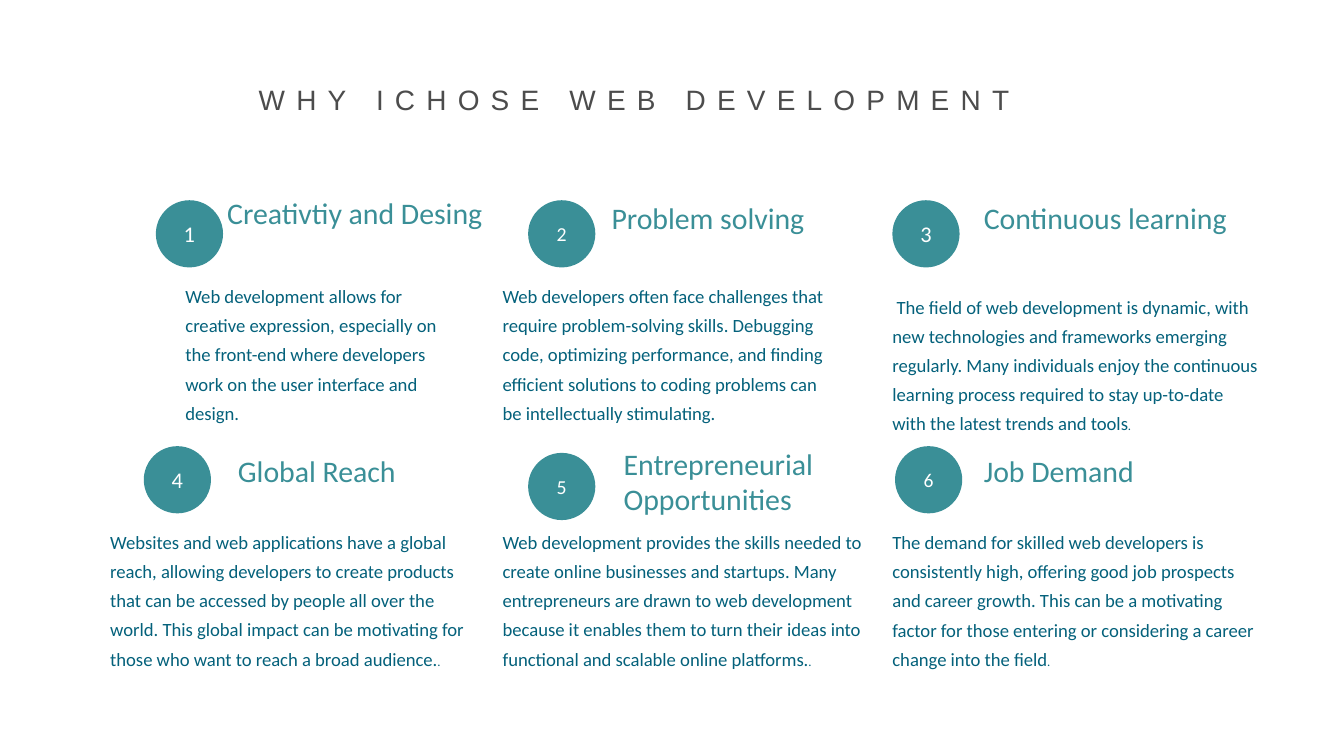
from dataclasses import dataclass

from pptx import Presentation
from pptx.dml.color import RGBColor
from pptx.enum.shapes import MSO_SHAPE
from pptx.enum.text import MSO_ANCHOR, PP_ALIGN
from pptx.util import Inches, Pt

ROUNDED = MSO_SHAPE.ROUNDED_RECTANGLE
TOP, MIDDLE = MSO_ANCHOR.TOP, MSO_ANCHOR.MIDDLE
CENTER = PP_ALIGN.CENTER

TEAL = RGBColor(0x3A, 0x8F, 0x97)
DEEP_BLUE = RGBColor(0x04, 0x61, 0x7B)
GREY = RGBColor(0x4C, 0x4C, 0x4C)
WHITE = RGBColor(0xFF, 0xFF, 0xFF)

COLUMNS = (0.82, 3.74, 6.64)
ROWS = (1.49, 3.32)
BADGE_SIZE = 0.5


@dataclass
class Reason:
    """A numbered reason; boxes are inches from the corner of its card."""
    heading: str
    body: str
    badge_at: tuple
    heading_box: tuple
    body_box: tuple
    number_size: float = 12
    small_stop: bool = True


REASONS = [
    Reason("Creativtiy and Desing",
           "Web development allows for creative expression, especially on the "
           "front-end where developers work on the user interface and design.",
           (0.34, 0), (0.87, -0.16, 2.01, 0.78), (0.56, 0.58, 2.07, 1.08),
           small_stop=False),
    Reason("Problem solving",
           "Web developers often face challenges that require problem-solving "
           "skills. Debugging code, optimizing performance, and finding efficient "
           "solutions to coding problems can be intellectually stimulating.",
           (0.19, 0), (0.81, 0.04, 1.45, 0.45), (0, 0.58, 2.44, 1.26),
           number_size=10.6, small_stop=False),
    Reason("Continuous learning",
           " The field of web development is dynamic, with new technologies and "
           "frameworks emerging regularly. Many individuals enjoy the continuous "
           "learning process required to stay up-to-date with the latest trends "
           "and tools",
           (0, 0), (0.68, 0.04, 1.85, 0.45), (0, 0.66, 2.72, 1.08)),
    Reason("Global Reach",
           "Websites and web applications have a global reach, allowing developers "
           "to create products that can be accessed by people all over the world. "
           "This global impact can be motivating for those who want to reach a "
           "broad audience.",
           (0.25, 0), (0.95, 0.09, 1.45, 0.45), (0, 0.58, 2.75, 1.1)),
    Reason("Entrepreneurial Opportunities",
           "Web development provides the skills needed to create online businesses "
           "and startups. Many entrepreneurs are drawn to web development because "
           "it enables them to turn their ideas into functional and scalable "
           "online platforms.",
           (0.19, 0.05), (0.9, -0.01, 1.45, 0.81), (0, 0.58, 2.7, 1.1),
           number_size=10.6),
    Reason("Job Demand",
           "The demand for skilled web developers is consistently high, offering "
           "good job prospects and career growth. This can be a motivating factor "
           "for those entering or considering a career change into the field",
           (0.02, 0), (0.68, 0.09, 1.45, 0.45), (0, 0.58, 2.73, 0.62),
           number_size=10.5),
]


def write(box, text, size, color, anchor, bottom=0.0):
    """Fill a box with one Calibri paragraph and return the paragraph."""
    frame = box.text_frame
    frame.word_wrap = True
    frame.vertical_anchor = anchor
    frame.margin_left = frame.margin_right = frame.margin_top = 0
    frame.margin_bottom = Inches(bottom)
    para = frame.paragraphs[0]
    para.text = text
    para.font.name = "Calibri"
    para.font.size = Pt(size)
    para.font.color.rgb = color
    return para


def add_title(page, left, top, width, height):
    """Place the widely spaced title in its placeholder."""
    title = page.shapes.title
    title.left, title.top = Inches(left), Inches(top)
    title.width, title.height = Inches(width), Inches(height)
    frame = title.text_frame
    frame.word_wrap = False
    frame.vertical_anchor = MIDDLE
    frame.margin_left = frame.margin_right = 0
    frame.margin_top = frame.margin_bottom = Inches(0.05)
    para = frame.paragraphs[0]
    para.alignment = CENTER
    para.line_spacing = 0.9
    span = para.add_run()
    span.text = "WHY ICHOSE WEB DEVELOPMENT"
    span.font.name = "Arial"
    span.font.size = Pt(15)
    span.font.color.rgb = GREY
    span.font._element.set("spc", "600")


def add_reason(page, left, top, number, reason):
    """Place badge, heading and body of a reason from its card's corner."""
    def place(x, y, width, height):
        """Turn a box within the card into lengths on the page."""
        return [Inches(length) for length in (left + x, top + y, width, height)]

    badge = page.shapes.add_shape(
        ROUNDED, *place(*reason.badge_at, BADGE_SIZE, BADGE_SIZE))
    badge.adjustments[0] = 0.5
    badge.shadow.inherit = False
    badge.fill.solid()
    badge.fill.fore_color.rgb = TEAL
    badge.line.fill.background()
    para = write(badge, str(number), reason.number_size, WHITE, MIDDLE)
    para.alignment = CENTER

    heading = page.shapes.add_textbox(*place(*reason.heading_box))
    write(heading, reason.heading, 16, TEAL, MIDDLE, bottom=0.27)

    body = page.shapes.add_textbox(*place(*reason.body_box))
    para = write(body, reason.body, 10, DEEP_BLUE, TOP)
    para.line_spacing = 1.3
    if reason.small_stop:
        stop = para.add_run()
        stop.text = "."
        stop.font.size = Pt(6.8)


def main():
    """Build the slide and save the deck."""
    deck = Presentation()
    deck.slide_width = Inches(10)
    deck.slide_height = Inches(10 * 9 / 16)
    page = deck.slides.add_slide(deck.slide_layouts.get_by_name("Title Only"))
    add_title(page, 1.77, 0.56, 5.9, 0.39)
    for index, reason in enumerate(REASONS):
        row, column = divmod(index, len(COLUMNS))
        add_reason(page, COLUMNS[column], ROWS[row], index + 1, reason)
    deck.save("out.pptx")


if __name__ == "__main__":
    main()
